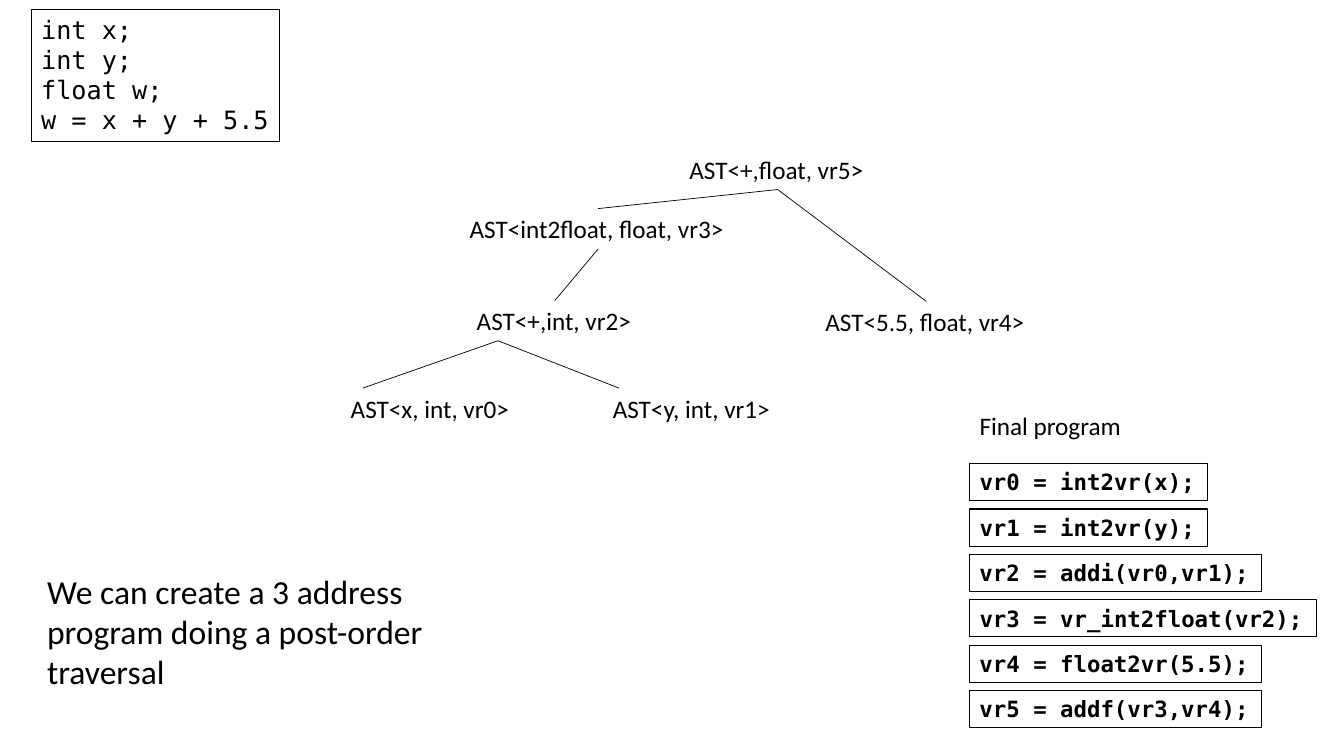
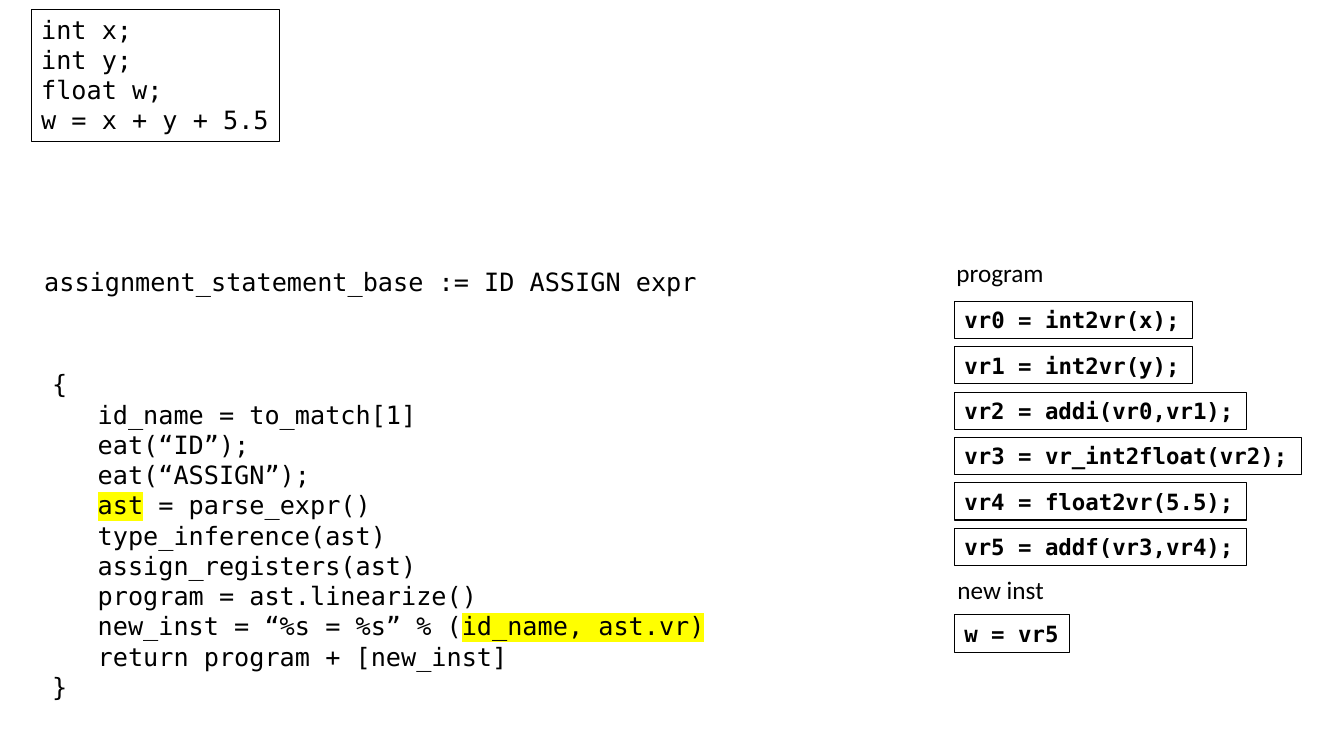
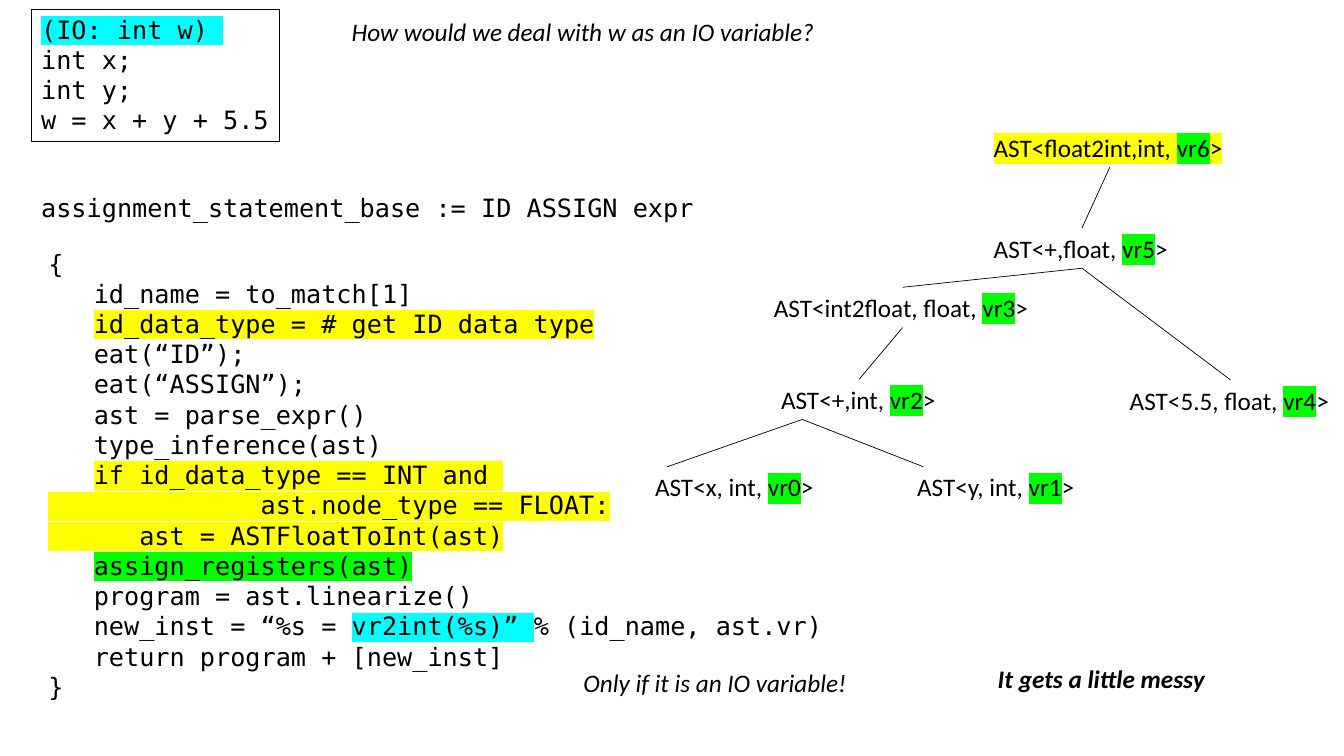
from dataclasses import dataclass, replace
from typing import NamedTuple

from lxml.etree import SubElement
from pptx import Presentation
from pptx.dml.color import RGBColor
from pptx.enum.shapes import MSO_CONNECTOR as Connector, MSO_SHAPE as Preset
from pptx.enum.text import MSO_ANCHOR as Anchor, MSO_AUTO_SIZE as AutoSize, PP_ALIGN as Align
from pptx.oxml.ns import qn
from pptx.slide import Slide
from pptx.util import Pt

COLOURS = {
    "ink": "000000",
    "yellow": "FFFF00",
    "green": "00FF00",
    "cyan": "00FFFF",
}
CODE_INDENT = 32.5
LABEL_HEIGHT = 28.8
INSTRUCTION_HEIGHT = 26.6
INSTRUCTION_PITCH = 32.4


@dataclass(frozen=True)
class Style:
    font: str = "Calibri"
    size: float = 18
    bold: bool = False
    italic: bool = False


LABEL = Style()
REMARK = Style(italic=True)
CODE = Style("DejaVu Sans Mono")
INSTRUCTION = replace(CODE, size=16, bold=True)


class Mark(NamedTuple):
    text: str
    colour: str


class Line(NamedTuple):
    pieces: tuple[str | Mark, ...]
    indent: float = 0


class Box(NamedTuple):
    left: float
    top: float
    width: float
    height: float = LABEL_HEIGHT


@dataclass(frozen=True)
class Node:
    label: str
    register: str
    box: Box
    parent: str = ""
    arrive: float | None = None
    leave: float | None = None

    def top_point(self) -> tuple[float, float]:
        offset = self.box.width / 2 if self.arrive is None else self.arrive
        return self.box.left + offset, self.box.top

    def bottom_point(self) -> tuple[float, float]:
        offset = self.box.width / 2 if self.leave is None else self.leave
        return self.box.left + offset, self.box.top + self.box.height


TREE = {
    "x": Node("x, int", "vr0", Box(243.4, 277.2, 128.9), "int sum", arrive=15.8),
    "y": Node("y, int", "vr1", Box(430.6, 277.2, 128.2), "int sum", arrive=11.5),
    "int sum": Node("+,int", "vr2", Box(333.4, 214.6, 126), "cast", leave=22.3),
    "cast": Node("int2float, float", "vr3", Box(328.3, 149, 198), "float sum"),
    "constant": Node("5.5, float", "vr4", Box(582.5, 215.3, 158.4), "float sum"),
    "float sum": Node("+,float", "vr5", Box(485.3, 106.6, 140.4)),
}
ROUNDED_TREE = {
    **TREE,
    "float sum": replace(TREE["float sum"], parent="rounding"),
    "rounding": Node("float2int,int", "vr6", Box(485.3, 34.5, 180)),
}
PROGRAM = [
    "vr0 = int2vr(x);",
    "vr1 = int2vr(y);",
    "vr2 = addi(vr0,vr1);",
    "vr3 = vr_int2float(vr2);",
    "vr4 = float2vr(5.5);",
    "vr5 = addf(vr3,vr4);",
]


def colour(name: str) -> RGBColor:
    return RGBColor.from_string(COLOURS[name])


def flush(*pieces: str | Mark) -> Line:
    return Line(pieces)


def indented(*pieces: str | Mark) -> Line:
    return Line(pieces, CODE_INDENT)


def add_text(slide: Slide, lines: list[Line], box: Box, style: Style = LABEL,
             framed: bool = False, wrap: bool = False) -> None:
    place = [Pt(length) for length in box]
    if framed:
        shape = slide.shapes.add_shape(Preset.RECTANGLE, *place)
        shape.shadow.inherit = False
        shape.fill.background()
        shape.line.color.rgb = colour("ink")
        shape.line.width = Pt(0.75)
    else:
        shape = slide.shapes.add_textbox(*place)
    frame = shape.text_frame
    frame.word_wrap = wrap
    frame.auto_size = AutoSize.SHAPE_TO_FIT_TEXT
    frame.vertical_anchor = Anchor.TOP
    for index, line in enumerate(lines):
        paragraph = frame.add_paragraph() if index else frame.paragraphs[0]
        paragraph.alignment = Align.LEFT
        font = paragraph.font
        font.name, font.size = style.font, Pt(style.size)
        font.bold, font.italic = style.bold, style.italic
        font.color.rgb = colour("ink")
        if line.indent:
            paragraph._p.get_or_add_pPr().set("marL", str(Pt(line.indent)))
        for piece in line.pieces:
            add_piece(paragraph, piece)


def add_piece(paragraph, piece: str | Mark) -> None:
    if piece == "\n":
        paragraph.add_line_break()
        return
    run = paragraph.add_run()
    if isinstance(piece, Mark):
        run.text = piece.text
        highlight = SubElement(run._r.get_or_add_rPr(), qn("a:highlight"))
        SubElement(highlight, qn("a:srgbClr")).set("val", COLOURS[piece.colour])
    else:
        run.text = piece


def add_label(slide: Slide, text: str, box: Box, style: Style = LABEL, wrap: bool = False) -> None:
    add_text(slide, [flush(text)], box, style, wrap=wrap)


def add_source(slide: Slide, lines: list[Line]) -> None:
    add_text(slide, lines, Box(22.3, 6.5, 177.1, 94.3), CODE, framed=True)


def add_instruction(slide: Slide, text: str, left: float, top: float) -> None:
    box = Box(left, top, 14.2 + 9.73 * len(text), INSTRUCTION_HEIGHT)
    add_text(slide, [flush(text)], box, INSTRUCTION, framed=True)


def add_program(slide: Slide, left: float, top: float) -> None:
    for row, text in enumerate(PROGRAM):
        add_instruction(slide, text, left, top + row * INSTRUCTION_PITCH)


def add_edge(slide: Slide, start: tuple[float, float], end: tuple[float, float]) -> None:
    points = [Pt(length) for length in (*start, *end)]
    edge = slide.shapes.add_connector(Connector.STRAIGHT, *points)
    edge.line.color.rgb = colour("ink")
    edge.line.width = Pt(0.5)
    SubElement(edge._element.spPr, qn("a:effectLst"))


def add_tree(slide: Slide, tree: dict[str, Node], right: float = 0, down: float = 0,
             register_colour: str = "", marked: str = "") -> None:
    placed = {
        name: replace(node, box=node.box._replace(left=node.box.left + right, top=node.box.top + down))
        for name, node in tree.items()
    }
    for name, node in placed.items():
        opening, closing = f"AST<{node.label}, ", ">"
        if name == marked:
            line = flush(Mark(opening, "yellow"), Mark(node.register, register_colour),
                         Mark(closing, "yellow"))
        elif register_colour:
            line = flush(opening, Mark(node.register, register_colour), closing)
        else:
            line = flush(opening + node.register + closing)
        add_text(slide, [line], node.box)
        if node.parent:
            add_edge(slide, placed[node.parent].bottom_point(), node.top_point())


def add_rule(slide: Slide, left: float, top: float) -> None:
    add_label(slide, "assignment_statement_base := ID ASSIGN expr", Box(left, top, 550.8), CODE, wrap=True)


def build_traversal(slide: Slide) -> None:
    add_source(slide, SOURCE)
    add_tree(slide, TREE)
    add_program(slide, 692.6, 331.2)
    add_label(slide, "We can create a 3 address program doing a post-order traversal",
              Box(26.6, 403.9, 328.3, 94.3), Style(size=24), wrap=True)
    add_label(slide, "Final program", Box(692.6, 289.4, 116.6))


def build_assignment(slide: Slide) -> None:
    add_rule(slide, 24.5, 186.5)
    add_text(slide, [
        flush("{"),
        indented("id_name = to_match[1]"),
        indented("eat(“ID”);"),
        indented("eat(“ASSIGN”);"),
        indented(Mark("ast", "yellow"), " = parse_expr()"),
        indented("type_inference(ast)"),
        indented("assign_registers(ast)"),
        indented("program = ast.linearize()"),
        indented("new_inst = “%s = %s” % (", Mark("id_name, ast.vr)", "yellow")),
        indented("return program + [new_inst]"),
        flush("}"),
    ], Box(30.2, 259.9, 550.8, 247), CODE, wrap=True)
    add_source(slide, SOURCE)
    add_program(slide, 681.8, 215.3)
    add_label(slide, "program", Box(676.1, 180, 77.8))
    add_instruction(slide, "w = vr5", 681.8, 439.2)
    add_label(slide, "new inst", Box(676.8, 406.8, 77))


def build_output_variable(slide: Slide) -> None:
    add_rule(slide, 22.3, 133.9)
    add_text(slide, [
        flush("{"),
        indented("id_name = to_match[1]"),
        indented(Mark("id_data_type = # get ID data type", "yellow")),
        indented("eat(“ID”);"),
        indented("eat(“ASSIGN”);"),
        indented("ast = parse_expr()"),
        indented("type_inference(ast)"),
        indented(Mark("if id_data_type == INT and ", "yellow")),
        flush(Mark("              ast.node_type == FLOAT:", "yellow")),
        flush(Mark("      ast = ASTFloatToInt(ast)", "yellow")),
        indented(Mark("assign_registers(ast)", "green")),
        indented("program = ast.linearize()"),
        indented("new_inst = “%s = ", Mark("vr2int(%s)” ", "cyan"), "% (id_name, ast.vr)"),
        indented("return program + [new_inst]"),
        flush("}"),
    ], Box(27.4, 173.5, 688.3, 334.1), CODE, wrap=True)
    add_source(slide, [
        flush(Mark("(IO: int w) ", "cyan")),
        flush("int x;"),
        flush("int y;", "\n", "w = x + y + 5.5"),
    ])
    add_tree(slide, ROUNDED_TREE, 217.4, 56.2, register_colour="green", marked="rounding")
    add_label(slide, "How would we deal with w as an IO variable?", Box(244.1, 7.9, 348.5), REMARK)
    add_label(slide, "Only if it is an IO variable!", Box(409.7, 473, 203.8), REMARK)
    add_label(slide, "It gets a little messy", Box(705.6, 470.2, 163.4), replace(REMARK, bold=True))


SOURCE = [
    flush("int x;"),
    flush("int y;"),
    flush("float w;", "\n", "w = x + y + 5.5"),
]

presentation = Presentation()
presentation.slide_width, presentation.slide_height = Pt(960), Pt(540)
for build in (build_traversal, build_assignment, build_output_variable):
    build(presentation.slides.add_slide(presentation.slide_layouts[6]))
presentation.save("out.pptx")
